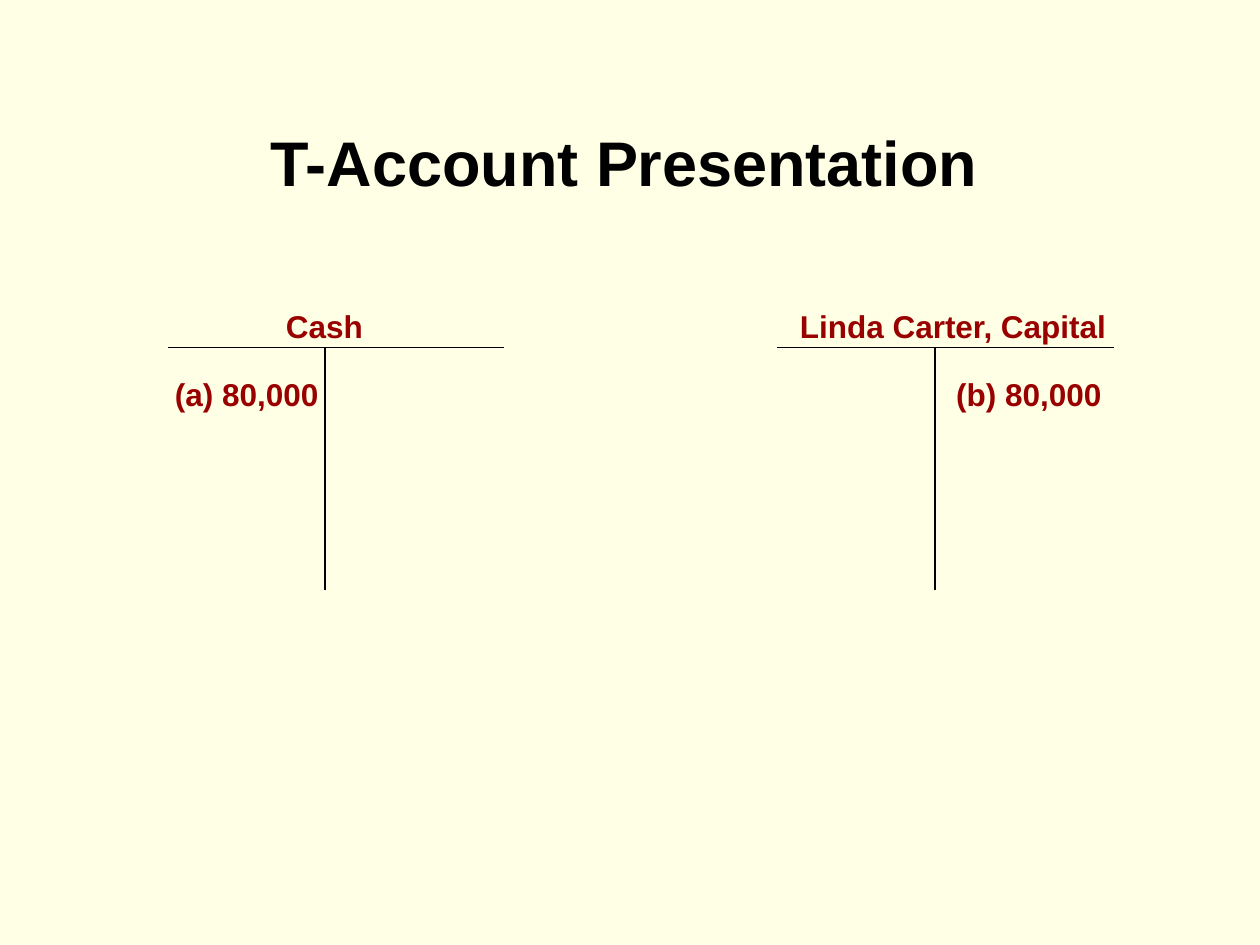
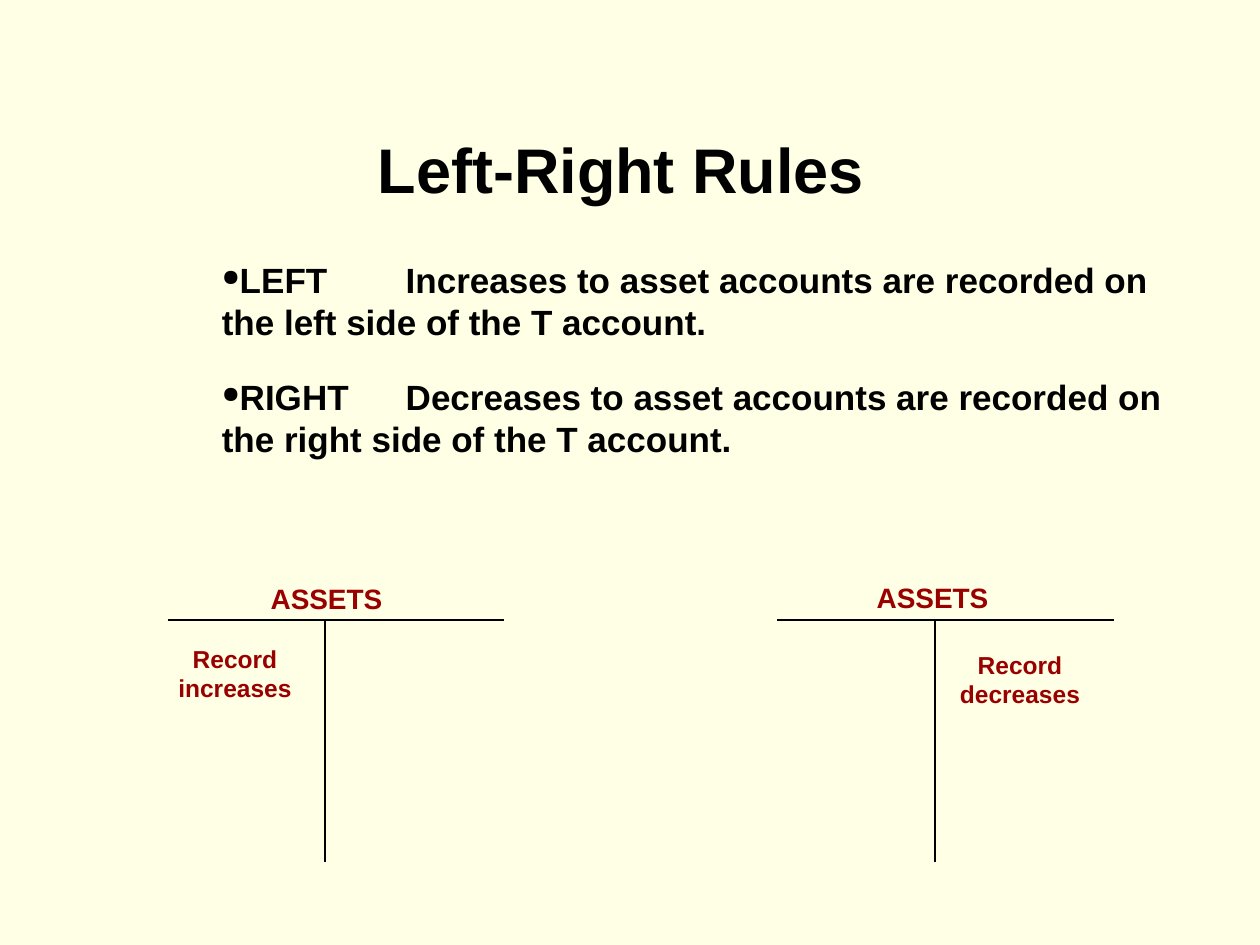
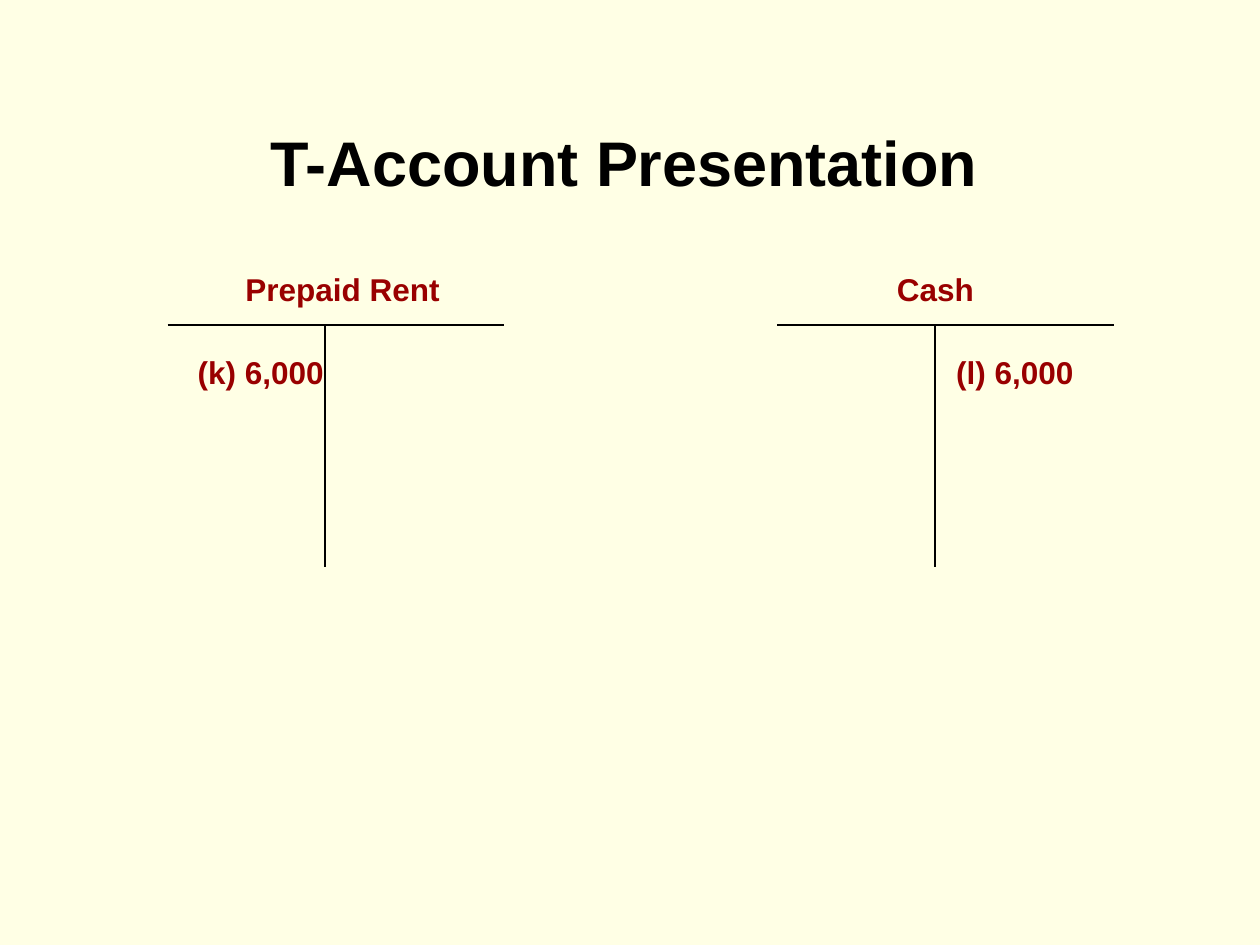
from lxml.etree import SubElement
from pptx import Presentation
from pptx.dml.color import RGBColor
from pptx.enum.shapes import MSO_CONNECTOR
from pptx.enum.text import PP_ALIGN
from pptx.oxml.ns import qn
from pptx.util import Inches, Pt

PAPER, INK, ACCENT = "FFFFE5", "000000", "990000"
FONT = "Arial"

# Every T account has the same size and stands in one of two columns.
COLUMNS = (1.33, 6.17)
BAR_WIDTH, STEM_OFFSET, STEM_HEIGHT = 2.67, 1.25, 1.92

RULE_HEIGHT, RULE_PITCH = 0.77, 0.93
RULE_INSET, RULE_TAB = 0.64, 1.46

ACCOUNT_TITLE = {"text": "T-Account Presentation", "box": (0.33, 0.93, 9.25, 0.7),
                 "align": PP_ALIGN.CENTER}

# Label boxes are left, top, width, height, with left and top measured
# from the left end of the account's bar.
SLIDES = [
    {
        "title": ACCOUNT_TITLE,
        "bar_top": 2.76,
        "accounts": [
            [{"text": "Cash", "box": (0.84, -0.37, 1.05, 0.4)},
             {"text": "(a) 80,000", "box": (-0.04, 0.17, 2.22, 0.4)}],
            [{"text": "Linda Carter, Capital", "box": (0.08, -0.37, 3.42, 0.4)},
             {"text": "(b) 80,000", "box": (1.32, 0.17, 1.76, 0.4)}],
        ],
    },
    {
        "title": {"text": "Left-Right Rules", "box": (2.9, 0.99, 4.25, 0.7)},
        "rules_top": 2,
        "rules": [
            "LEFT\tIncreases to asset accounts are recorded on\vthe left side of the T account.",
            "RIGHT\tDecreases to asset accounts are recorded on\vthe right side of the T account.",
        ],
        "bar_top": 4.92,
        "accounts": [
            [{"text": "ASSETS", "box": (0.72, -0.35, 1.2, 0.37), "size": 16},
             {"text": "Record increases", "box": (-0.21, 0.14, 1.49, 0.57), "size": 14,
              "align": PP_ALIGN.CENTER}],
            [{"text": "ASSETS", "box": (0.69, -0.36, 1.2, 0.37), "size": 16},
             {"text": "Record decreases", "box": (1.18, 0.19, 1.49, 0.57), "size": 14,
              "align": PP_ALIGN.CENTER}],
        ],
    },
    {
        "title": ACCOUNT_TITLE,
        "bar_top": 2.58,
        "accounts": [
            [{"text": "Prepaid Rent", "box": (0.52, -0.49, 1.9, 0.4)},
             {"text": "(k) 6,000", "box": (0.14, 0.17, 1.7, 0.4)}],
            [{"text": "Cash", "box": (0.85, -0.49, 1.05, 0.4)},
             {"text": "(l) 6,000", "box": (1.32, 0.17, 1.35, 0.4)}],
        ],
    },
]


def color(hex_code):
    return RGBColor.from_string(hex_code)


def add_text(slide, text, box, size=18, ink=ACCENT, align=PP_ALIGN.LEFT,
             inset=0.1, bullet_tab=None):
    """Add a one-paragraph label; bullet_tab makes it a bullet with that tab stop."""
    frame = slide.shapes.add_textbox(*map(Inches, box)).text_frame
    margins = {"margin_left": inset, "margin_right": 0.1,
               "margin_top": 0.05, "margin_bottom": 0.05}
    for side, width in margins.items():
        setattr(frame, side, Inches(width))
    frame.word_wrap = True
    paragraph = frame.paragraphs[0]
    paragraph.text = text
    paragraph.alignment = align
    if bullet_tab:
        add_bullet(paragraph, ink, bullet_tab)
    for run in paragraph.runs:
        for name, value in {"name": FONT, "size": Pt(size), "bold": True}.items():
            setattr(run.font, name, value)
        run.font.color.rgb = color(ink)


def add_bullet(paragraph, ink, tab):
    properties = paragraph._p.get_or_add_pPr()
    properties.set("marL", "0")
    properties.set("indent", "0")
    bullet_color = SubElement(properties, qn("a:buClr"))
    SubElement(bullet_color, qn("a:srgbClr"), val=ink)
    SubElement(properties, qn("a:buSzPct"), val="65000")
    SubElement(properties, qn("a:buChar"), char="●")
    tabs = SubElement(properties, qn("a:tabLst"))
    SubElement(tabs, qn("a:tab"), pos=str(Inches(tab)), algn="l")


def add_account(slide, left, top, labels):
    """Draw a T from a bar and a stem, then place its labels."""
    stem = left + STEM_OFFSET
    strokes = [(left, top, left + BAR_WIDTH, top), (stem, top, stem, top + STEM_HEIGHT)]
    account = slide.shapes.add_group_shape()
    for ends in strokes:
        stroke = account.shapes.add_connector(MSO_CONNECTOR.STRAIGHT, *map(Inches, ends))
        stroke.line.color.rgb = color(INK)
        stroke.line.width = Pt(0.75)
        SubElement(stroke._element.spPr, qn("a:effectLst"))
    for label in labels:
        dx, dy, width, height = label["box"]
        add_text(slide, **{**label, "box": (left + dx, top + dy, width, height)})


def main():
    deck = Presentation()
    deck.slide_width, deck.slide_height = Inches(10), Inches(7.5)
    for content in SLIDES:
        slide = deck.slides.add_slide(deck.slide_layouts[6])
        slide.background.fill.solid()
        slide.background.fill.fore_color.rgb = color(PAPER)
        add_text(slide, **content["title"], size=36, ink=INK)
        for row, rule in enumerate(content.get("rules", [])):
            box = (1.12, content["rules_top"] + row * RULE_PITCH, 8.38, RULE_HEIGHT)
            add_text(slide, rule, box, size=20, ink=INK, inset=RULE_INSET,
                     bullet_tab=RULE_TAB)
        for left, labels in zip(COLUMNS, content["accounts"]):
            add_account(slide, left, content["bar_top"], labels)
    deck.save("out.pptx")


if __name__ == "__main__":
    main()
